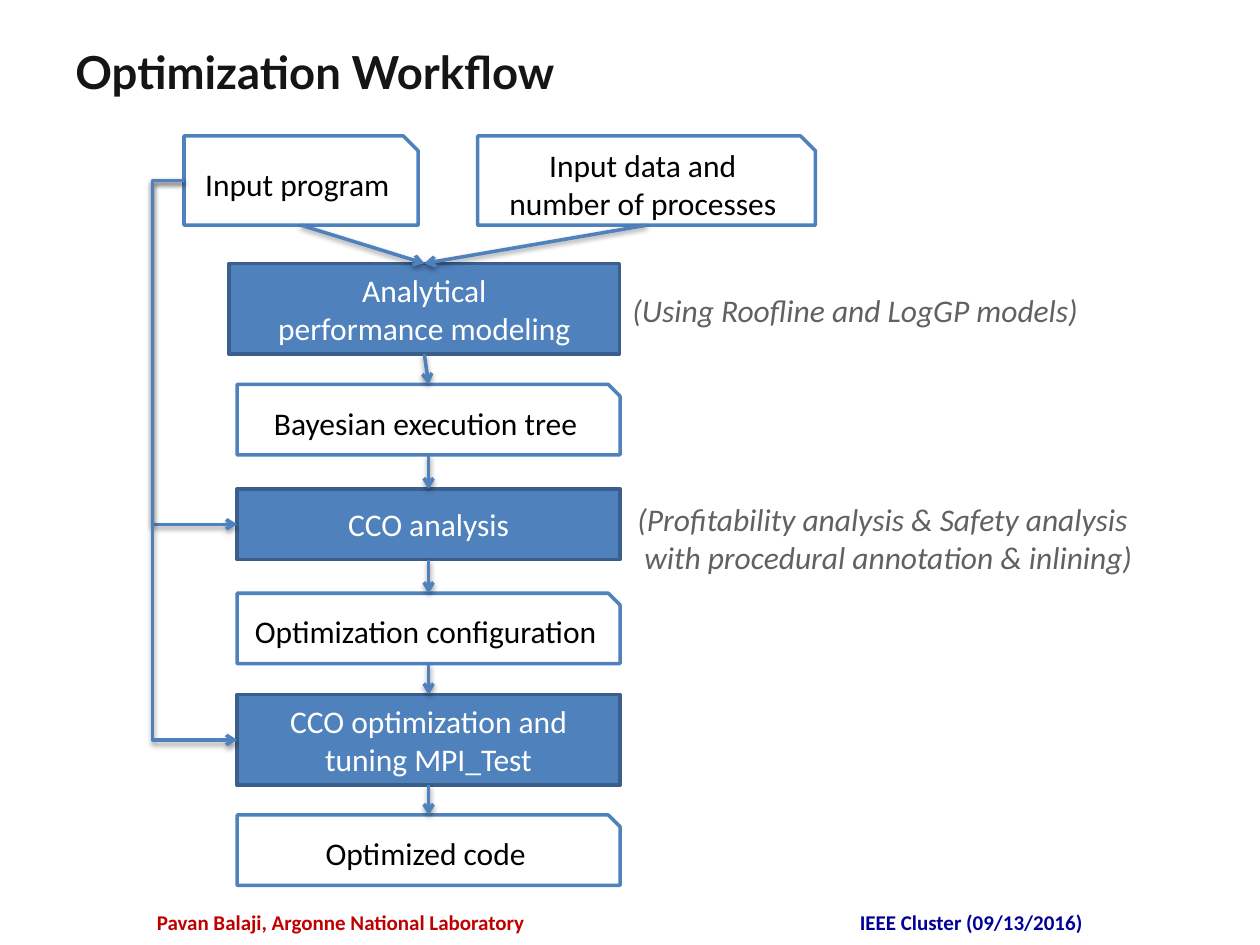
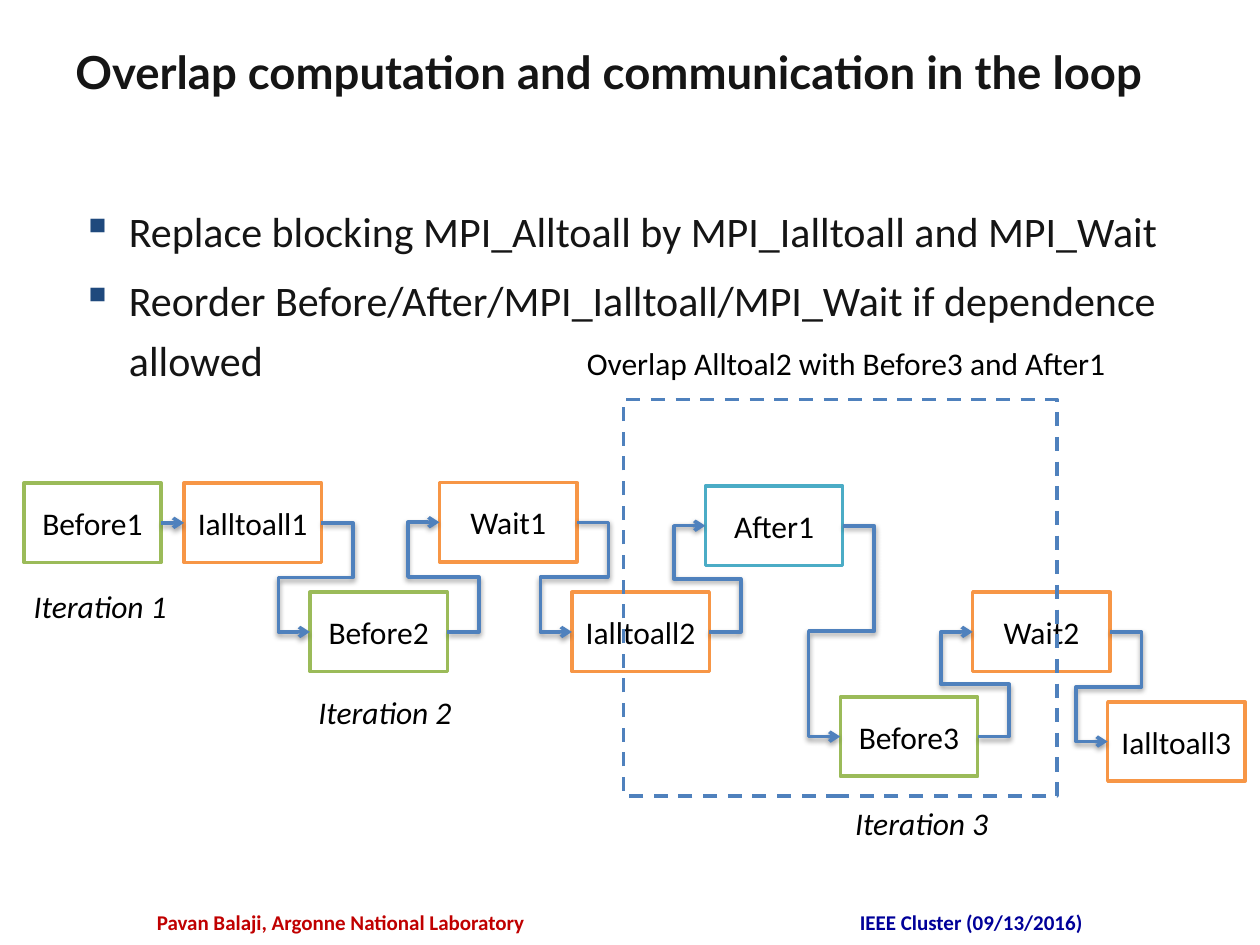
import itertools

import lxml.etree
import pptx
import pptx.dml.color
import pptx.enum.dml
import pptx.enum.shapes
import pptx.enum.text
import pptx.oxml.ns
import pptx.util

Cm, Pt = pptx.util.Cm, pptx.util.Pt
qn = pptx.oxml.ns.qn
SHAPE = pptx.enum.shapes.MSO_SHAPE
LINK = pptx.enum.shapes.MSO_CONNECTOR
ANCHOR = pptx.enum.text.MSO_ANCHOR
ALIGN = pptx.enum.text.PP_ALIGN

BLUE, NAVY, STEEL = "4F81BD", "3A5F8C", "1F497D"
GREEN, ORANGE, TEAL = "9BBB59", "F79646", "4BACC6"
BLACK, WHITE, INK, GREY = "000000", "FFFFFF", "151515", "616161"
RED, DEEP = "C00000", "000099"


def color(code):
    return pptx.dml.color.RGBColor.from_string(code)


def add(parent, tag, **attrs):
    """Append a child element with the given attributes."""
    child = lxml.etree.SubElement(parent, qn(tag))
    for name, value in attrs.items():
        child.set(name, str(value))
    return child


def side(shape, name):
    """Return the middle point of one edge of a shape."""
    x, y = shape.left + shape.width // 2, shape.top + shape.height // 2
    return {
        "left": (shape.left, y),
        "right": (shape.left + shape.width, y),
        "top": (x, shape.top),
        "bottom": (x, shape.top + shape.height),
    }[name]


class Deck:
    """Holds the shared style and the slide being drawn."""

    body, head = "Calibri", "Lato"
    size, line = 18, Pt(2)
    reach = Cm(0.635)  # how far a bent arrow runs out before turning

    def __init__(self):
        self.prs = pptx.Presentation()
        self.prs.slide_width, self.prs.slide_height = Cm(25.4), Cm(19.05)

    def start(self, title):
        self.slide = self.prs.slides.add_slide(self.prs.slide_layouts[6])
        self.text(title, 1.27, 0.76, 22.86, 2.21, size=26, code=INK,
                  bold=True, face=self.head)
        for label, x, width, code in (
            ("Pavan Balaji, Argonne National Laboratory", 2.74, 8.26, RED),
            ("IEEE Cluster (09/13/2016)", 14.6, 9.96, DEEP),
        ):
            self.text(label, x, 18.21, width, 0.64, size=12, code=code,
                      bold=True, align=ALIGN.CENTER)

    def style(self, frame, size=size, code=BLACK, bold=False, slant=False,
              face=body, align=ALIGN.LEFT):
        for para in frame.paragraphs:
            para.alignment = align
            for run in para.runs:
                font = run.font
                font.name, font.size = face, Pt(size)
                font.bold, font.italic = bold, slant
                font.color.rgb = color(code)

    def text(self, words, x, y, width, height, **look):
        box = self.slide.shapes.add_textbox(Cm(x), Cm(y), Cm(width), Cm(height))
        frame = box.text_frame
        frame.word_wrap = True
        frame.text = words
        self.style(frame, **look)
        return frame

    def list(self, items, x, y, width, height):
        frame = self.text("\n".join(items), x, y, width, height,
                          size=24, code=INK)
        for i, para in enumerate(frame.paragraphs):
            para.line_spacing = 1.2
            para.space_before = Pt(4.8 if i else 0)
            props = para._p.get_or_add_pPr()
            props.set("marL", str(Cm(0.95)))
            props.set("indent", str(-Cm(0.95)))
            add(add(props, "a:buClr"), "a:srgbClr", val=STEEL)
            add(props, "a:buChar", char="▪")

    def box(self, words, x, y, width, height, edge=BLUE, fill=None,
            code=BLACK, kind=SHAPE.RECTANGLE):
        shape = self.slide.shapes.add_shape(
            kind, Cm(x), Cm(y), Cm(width), Cm(height))
        shape.shadow.inherit = False
        if fill:
            shape.fill.solid()
            shape.fill.fore_color.rgb = color(fill)
        else:
            shape.fill.background()
        shape.line.color.rgb = color(edge)
        shape.line.width = self.line
        frame = shape.text_frame
        frame.word_wrap = True
        frame.vertical_anchor = ANCHOR.MIDDLE
        frame.text = words
        self.style(frame, code=code, align=ALIGN.CENTER)
        return shape

    def step(self, words, *place):
        return self.box(words, *place, edge=NAVY, fill=BLUE, code=WHITE)

    def sheet(self, words, *place):
        return self.box(words, *place, kind=SHAPE.SNIP_1_RECTANGLE)

    def arrow(self, start, end, bends=0):
        """Draw an arrow that is straight or turns left by 3 or 5 parts."""
        kind = LINK.ELBOW if bends else LINK.STRAIGHT
        link = self.slide.shapes.add_connector(kind, *start, *end)
        link.line.color.rgb = color(BLUE)
        link.line.width = self.line
        props = link._element.spPr
        add(props.find(qn("a:ln")), "a:tailEnd", type="arrow")
        cast = add(add(props, "a:effectLst"), "a:outerShdw", blurRad=Pt(3.1),
                   dist=Pt(1.6), dir=5400000, rotWithShape=0)
        add(add(cast, "a:srgbClr", val=BLACK), "a:alpha", val=38000)
        if bends:
            geom = props.find(qn("a:prstGeom"))
            geom.set("prst", f"bentConnector{bends}")
            out = round(-100000 * self.reach / abs(end[0] - start[0]))
            turns = (out,) if bends == 3 else (out, 50000, 100000 - out)
            guides = geom.find(qn("a:avLst"))
            for i, turn in enumerate(turns, 1):
                add(guides, "a:gd", name=f"adj{i}", fmla=f"val {turn}")


def workflow(deck):
    deck.start("Optimization Workflow")
    left, width, low, tall = 4.78, 7.72, 1.42, 1.83
    model = deck.step("Analytical\nperformance modeling", 4.62, 5.31, 7.87, tall)
    tree = deck.sheet("Bayesian execution tree", left, 7.75, width, low)
    study = deck.step("CCO analysis", left, 9.86, width, low)
    config = deck.sheet("Optimization configuration", left, 11.96, width, low)
    tune = deck.step("CCO optimization and tuning MPI_Test",
                     left, 14, width, tall)
    code = deck.sheet("Optimized code", left, 16.43, width, low)
    program = deck.sheet("Input program", 3.71, 2.74, 4.72, 1.8)
    data = deck.sheet("Input data and\nnumber of processes",
                      9.63, 2.74, 6.81, 1.8)

    chain = (model, tree, study, config, tune, code)
    pairs = [(program, model), (data, model), *itertools.pairwise(chain)]
    for above, below in pairs:
        deck.arrow(side(above, "bottom"), side(below, "top"))
    for goal in (study, tune):
        deck.arrow(side(program, "left"), side(goal, "left"), bends=3)

    deck.text("(Using Roofline and LogGP models)", 12.5, 5.74, 10.85, 1.02,
              code=GREY, slant=True)
    note = deck.text("(Profitability analysis & Safety analysis\n"
                     "with procedural annotation & inlining)",
                     12.6, 9.96, 11.63, 1.8, code=GREY, slant=True)
    note.paragraphs[1]._p.get_or_add_pPr().set("marL", str(Cm(0.14)))


def overlap(deck):
    deck.start("Overlap computation and communication in the loop")
    deck.list(("Replace blocking MPI_Alltoall by MPI_Ialltoall and MPI_Wait",
               "Reorder Before/After/MPI_Ialltoall/MPI_Wait if dependence "
               "allowed"), 1.4, 3.81, 23.72, 11.51)
    calls = [
        deck.box(name, x, y, 2.77, 1.6, edge=edge)
        for name, x, y, edge in (
            ("Before1", 0.48, 9.74, GREEN),
            ("Ialltoall1", 3.71, 9.74, ORANGE),
            ("Before2", 6.25, 11.94, GREEN),
            ("Wait1", 8.86, 9.73, ORANGE),
            ("Ialltoall2", 11.53, 11.94, ORANGE),
            ("After1", 14.22, 9.8, TEAL),
            ("Before3", 16.94, 14.05, GREEN),
            ("Wait2", 19.61, 11.94, ORANGE),
            ("Ialltoall3", 22.33, 14.15, ORANGE),
        )
    ]
    frame = deck.box("", 12.57, 8.05, 8.74, 8)
    frame.line.dash_style = pptx.enum.dml.MSO_LINE.DASH
    deck.text("Overlap Alltoal2 with Before3 and After1",
              11.58, 6.81, 11.13, 1.02)
    for i, (call, then) in enumerate(itertools.pairwise(calls)):
        deck.arrow(side(call, "right"), side(then, "left"), bends=5 if i else 0)
    for i, (x, y) in enumerate(((0.43, 11.71), (6.17, 13.84), (16.99, 16.08)), 1):
        deck.text(f"Iteration {i}", x, y, 3.58, 1.02, slant=True)


def main():
    deck = Deck()
    workflow(deck)
    overlap(deck)
    deck.prs.save("out.pptx")


if __name__ == "__main__":
    main()
